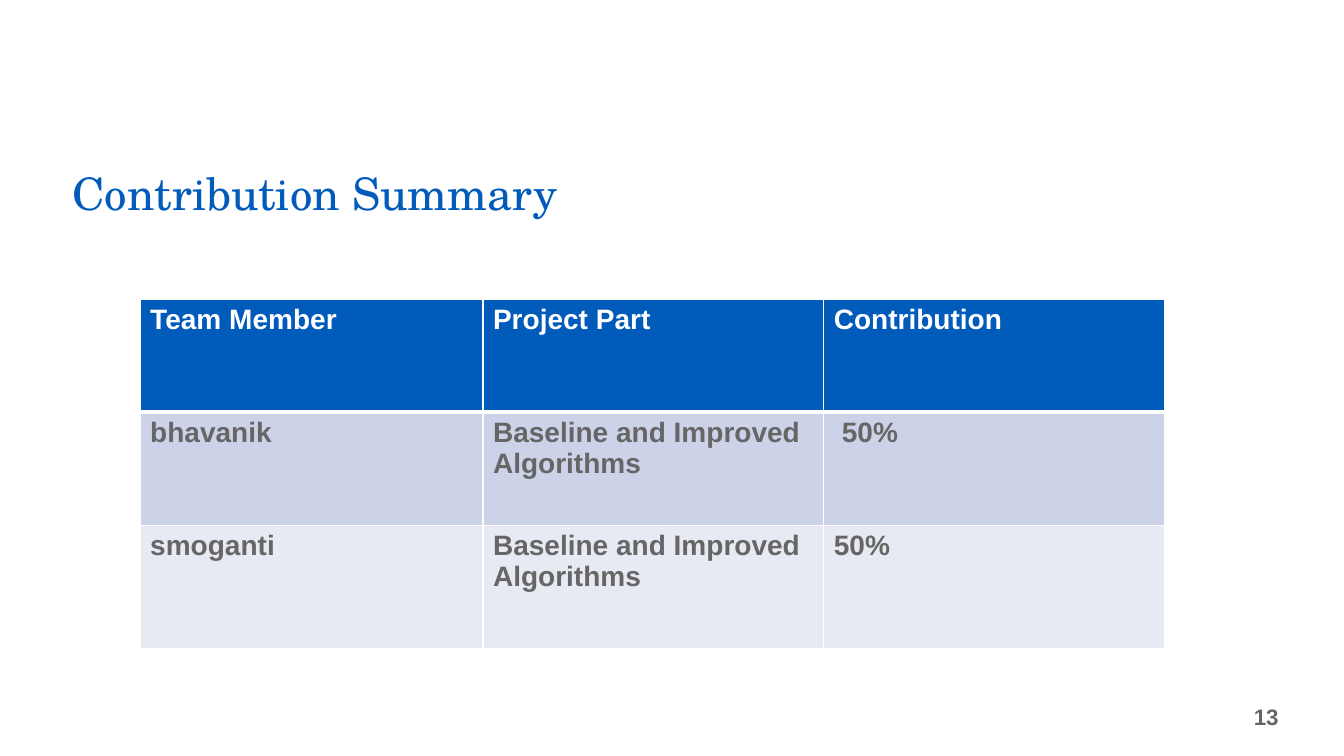
from lxml.etree import SubElement
from pptx import Presentation
from pptx.dml.color import RGBColor
from pptx.enum.text import MSO_ANCHOR, MSO_AUTO_SIZE, PP_ALIGN
from pptx.oxml.ns import qn
from pptx.util import Inches, Pt

BLUE, GREY, WHITE = "005BBB", "666666", "FFFFFF"
ROW_FILLS = [BLUE, "CCD2E7", "E7EAF3"]
COL_WIDTHS = [3.4, 3.38, 3.38]
ROW_HEIGHTS = [1.12, 1.12, 1.23]
ROWS = [
    ["Team Member", "Project Part", "Contribution"],
    ["bhavanik", "Baseline and Improved Algorithms", "50%"],
    ["smoganti", "Baseline and Improved Algorithms", "50%"],
]


def rgb(value):
    return RGBColor.from_string(value)


class SlideBuilder:
    def __init__(self, slide):
        self.slide = slide
        self.body_font = "Arial"
        self.title_font = "TeX Gyre Schola"

    def format_text(self, tf, size, color, font=None, bold=True):
        for p in tf.paragraphs:
            for r in p.runs:
                r.font.name = font or self.body_font
                r.font.size = Pt(size)
                r.font.bold = bold
                r.font.color.rgb = rgb(color)

    def title(self, text, left, top, width, height):
        sp = self.slide.shapes.title
        sp.left, sp.top = Inches(left), Inches(top)
        sp.width, sp.height = Inches(width), Inches(height)
        tf = sp.text_frame
        tf.text = text
        tf.word_wrap = True
        tf.auto_size = MSO_AUTO_SIZE.SHAPE_TO_FIT_TEXT
        tf.vertical_anchor = MSO_ANCHOR.BOTTOM
        p = tf.paragraphs[0]
        p.alignment = PP_ALIGN.LEFT
        p.line_spacing = 0.9
        self.format_text(tf, 32, BLUE, self.title_font, bold=False)

    def page_number(self, text, left, top, width, height):
        sp = self.slide.shapes.add_textbox(
            Inches(left), Inches(top), Inches(width), Inches(height))
        tf = sp.text_frame
        tf.text = text
        tf.word_wrap = True
        tf.vertical_anchor = MSO_ANCHOR.MIDDLE
        tf.paragraphs[0].alignment = PP_ALIGN.RIGHT
        self.format_text(tf, 16, GREY)

    def cell_borders(self, cell, widths):
        """Draw white borders; widths maps L, R, T and B to points."""
        tcPr = cell._tc.get_or_add_tcPr()
        for side in "LRTB":
            ln = SubElement(tcPr, qn(f"a:ln{side}"), w=str(Pt(widths[side])))
            fill = SubElement(ln, qn("a:solidFill"))
            SubElement(fill, qn("a:srgbClr"), val=WHITE)

    def table(self, rows, left, top):
        frame = self.slide.shapes.add_table(
            len(rows), len(rows[0]), Inches(left), Inches(top),
            Inches(sum(COL_WIDTHS)), Inches(sum(ROW_HEIGHTS)))
        table = frame.table
        for column, width in zip(table.columns, COL_WIDTHS):
            column.width = Inches(width)
        for i, (values, height) in enumerate(zip(rows, ROW_HEIGHTS)):
            table.rows[i].height = Inches(height)
            for j, value in enumerate(values):
                cell = table.cell(i, j)
                cell.text_frame.text = value
                self.format_text(cell.text_frame, 20, GREY if i else WHITE)
                self.cell_borders(cell, {"L": 1, "R": 1,
                                         "T": 3 if i == 1 else 1,
                                         "B": 1 if i else 3})
                cell.fill.solid()
                cell.fill.fore_color.rgb = rgb(ROW_FILLS[i])
        return table


def main():
    prs = Presentation()
    prs.slide_width, prs.slide_height = Inches(13.33), Inches(7.5)
    s = prs.slides.add_slide(prs.slide_layouts[5])
    builder = SlideBuilder(s)
    builder.page_number("13", 8.28, 6.91, 4.5, 0.4)
    builder.title("Contribution Summary", 0.62, 1.64, 7.56, 0.59)
    table = builder.table(ROWS, 1.39, 2.97)
    table.cell(1, 2).margin_left = Inches(0.18)
    prs.save("out.pptx")


if __name__ == "__main__":
    main()
